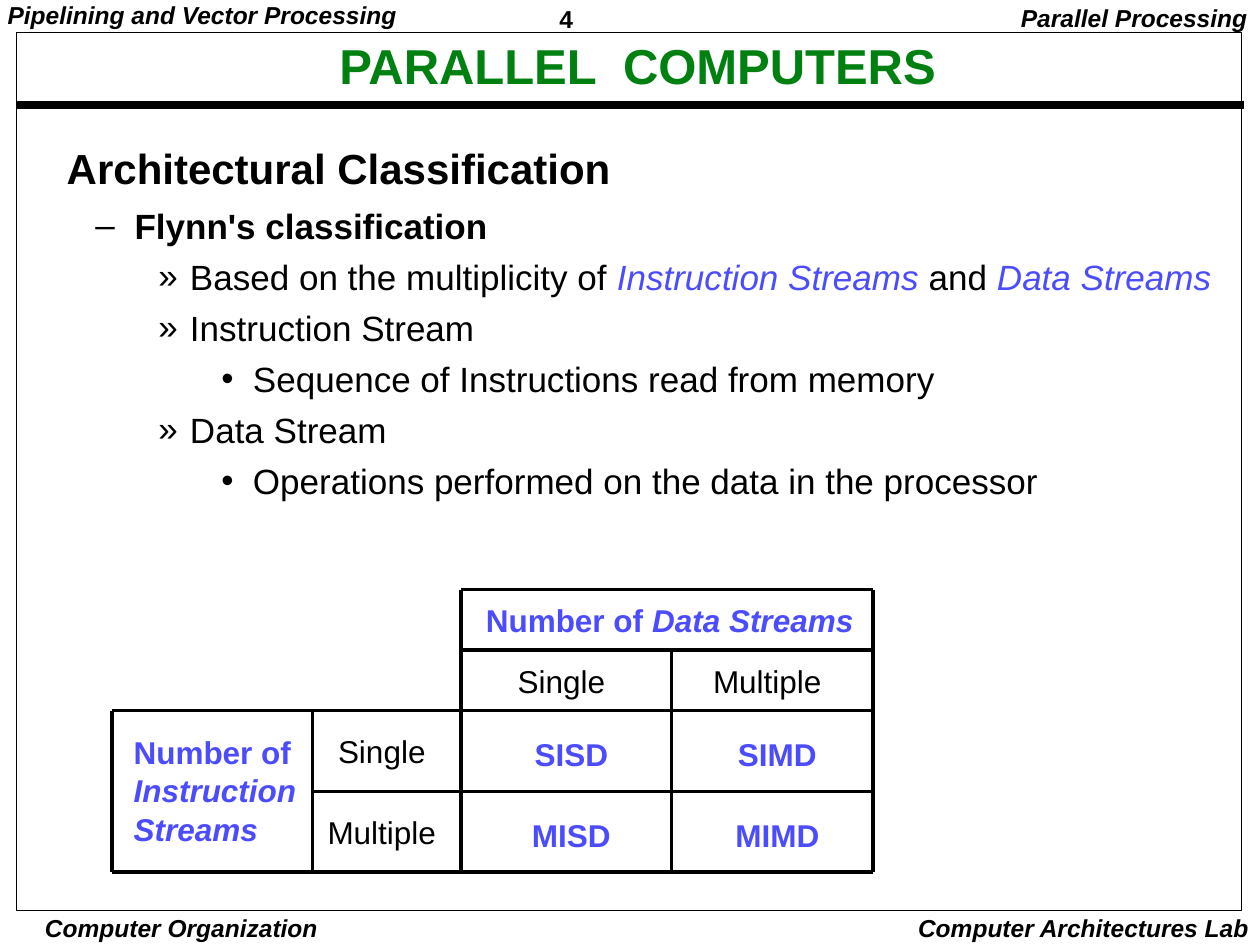
from lxml.etree import SubElement
from pptx import Presentation
from pptx.dml.color import RGBColor as RGB
from pptx.enum.shapes import MSO_CONNECTOR as CONN, MSO_SHAPE as SHAPE
from pptx.enum.text import MSO_ANCHOR as ANCHOR, PP_ALIGN as ALIGN
from pptx.oxml.ns import qn
from pptx.util import Inches as In, Pt

W, H = 10, 7.5
FONT = "Arial"
COLORS = {"ink": "000000", "title": "008011", "accent": "4C4CFF"}

TITLE = "PARALLEL  COMPUTERS"
HEADING = "Architectural Classification"

PLAIN, BOLD, ITALIC = ("ink", False, False), ("ink", True, False), ("accent", False, True)
BOLD_ITALIC = ("ink", True, True)
KEY, KEY_ITALIC = ("accent", True, False), ("accent", True, True)

MARGINS = [
    ("Pipelining and Vector Processing", BOLD_ITALIC, (-0.01, 0, 3.34, 0.27), "l", (0.07, 0.03), 0.9),
    ("4", BOLD, (4.37, 0, 1.08, 0.29), "l", (0.07, 0.03), 1.01),
    ("Parallel Processing", BOLD_ITALIC, (7.9, 0, 2.1, 0.31), "r", (0.1, 0.05), 0.9),
    ("Computer Organization", BOLD_ITALIC, (0.19, 7.24, 2.5, 0.26), "c", (0.03, 0.01), 1),
    ("Computer Architectures Lab", BOLD_ITALIC, (7.08, 7.2, 2.93, 0.33), "r", (0.1, 0.05), 1),
]

LEVELS = {1: ("–", 0.81, 0.31), 2: ("»", 1.25, 0.25), 3: ("•", 1.75, 0.25)}
OUTLINE = [
    (1, [("Flynn's classification", BOLD)]),
    (2, [("Based on the multiplicity of ", PLAIN), ("Instruction Streams ", ITALIC),
         ("and ", PLAIN), ("Data Streams", ITALIC)]),
    (2, [("Instruction Stream", PLAIN)]),
    (3, [("Sequence of Instructions read from memory", PLAIN)]),
    (2, [("Data Stream", PLAIN)]),
    (3, [("Operations performed on the data in the processor", PLAIN)]),
]

COLS = [0.89, 2.48, 3.66, 5.33, 6.93]
ROWS = [4.68, 5.16, 5.64, 6.28, 6.92]
RULES = [
    (2, 0, 4, 0), (2, 1, 4, 1), (0, 2, 4, 2), (1, 3, 4, 3), (0, 4, 4, 4),
    (0, 2, 0, 4), (1, 2, 1, 4), (2, 0, 2, 4), (3, 1, 3, 4), (4, 0, 4, 4),
]
LABEL_SHIFT, CODE_SHIFT = (-0.04, 0), (0.04, 0.02)
CELLS = [
    ((2, 0, 4, 1), [[("Number of ", KEY), ("Data Streams", KEY_ITALIC)]], "c", (0.02, 0)),
    ((0, 2, 1, 4), [[("Number of", KEY)], [("Instruction", KEY_ITALIC)],
                    [("Streams", KEY_ITALIC)]], "l", (0.1, -0.01)),
]
CELLS += [((c, r, c + 1, r + 1), [[(text, PLAIN)]], "c", LABEL_SHIFT)
          for c, r, text in [(2, 1, "Single"), (3, 1, "Multiple"),
                             (1, 2, "Single"), (1, 3, "Multiple")]]
CELLS += [((c, r, c + 1, r + 1), [[(text, KEY)]], "c", CODE_SHIFT)
          for c, r, text in [(2, 2, "SISD"), (3, 2, "SIMD"), (2, 3, "MISD"), (3, 3, "MIMD")]]

ALIGNS = {"l": ALIGN.LEFT, "c": ALIGN.CENTER, "r": ALIGN.RIGHT}


def rgb(name):
    return RGB.from_string(COLORS[name])


def set_frame(sp, inset, anchor):
    tf = sp.text_frame
    tf.margin_left = tf.margin_right = In(inset[0])
    tf.margin_top = tf.margin_bottom = In(inset[1])
    tf.word_wrap, tf.vertical_anchor = True, anchor
    return tf


def write(tf, paragraphs, size, align="l", spacing=1.02):
    for i, runs in enumerate(paragraphs):
        p = tf.paragraphs[0] if i == 0 else tf.add_paragraph()
        p.alignment, p.line_spacing = ALIGNS[align], spacing
        for text, (color, bold, italic) in runs:
            r = p.add_run()
            r.text = text
            r.font.name, r.font.size = FONT, Pt(size)
            r.font.bold, r.font.italic = bold, italic
            r.font.color.rgb = rgb(color)


def add_text(s, box, paragraphs, size, align="l", spacing=1.02,
             inset=(0.07, 0.03), anchor=ANCHOR.TOP):
    sp = s.shapes.add_textbox(*map(In, box))
    tf = set_frame(sp, inset, anchor)
    write(tf, paragraphs, size, align, spacing)
    return tf


def add_line(s, x1, y1, x2, y2, width):
    line = s.shapes.add_connector(CONN.STRAIGHT, *map(In, (x1, y1, x2, y2)))
    line.line.color.rgb, line.line.width = rgb("ink"), Pt(width)
    SubElement(line._element.spPr, qn("a:effectLst"))


def add_bullet(p, level):
    mark, left, hanging = LEVELS[level]
    p.level, p.space_before = level, Pt(7.5)
    pPr = p._p.get_or_add_pPr()
    pPr.set("marL", str(In(left)))
    pPr.set("indent", str(-In(hanging)))
    color = SubElement(pPr, qn("a:buClr"))
    SubElement(color, qn("a:srgbClr"), val=COLORS["ink"])
    SubElement(pPr, qn("a:buFont"), typeface=FONT)
    SubElement(pPr, qn("a:buChar"), char=mark)


def add_page(s):
    for text, style, box, align, inset, spacing in MARGINS:
        add_text(s, box, [[(text, style)]], 14, align, spacing, inset)
    add_line(s, 0.13, 0.83, 9.87, 0.83, 4.5)
    frame = s.shapes.add_shape(SHAPE.RECTANGLE, *map(In, (0.13, 0.26, 9.72, 6.97)))
    frame.shadow.inherit = False
    frame.fill.background()
    frame.line.color.rgb, frame.line.width = rgb("ink"), Pt(0.5)


def add_title(s):
    sp = s.shapes.title
    sp.left, sp.top, sp.width, sp.height = map(In, (0.82, 0.18, 8.48, 0.73))
    tf = set_frame(sp, (0.07, 0.03), ANCHOR.MIDDLE)
    write(tf, [[(TITLE, ("title", True, False))]], 28, "c", 0.9)


def add_outline(s):
    add_text(s, (0.46, 1.09, 4.6, 0.46), [[(HEADING, BOLD)]], 24)
    tf = add_text(s, (0.16, 1.61, 9.57, 2.68), [runs for _, runs in OUTLINE], 20,
                  spacing=0.9, inset=(0.1, 0.05))
    for p, (level, _) in zip(tf.paragraphs, OUTLINE):
        add_bullet(p, level)


def add_matrix(s):
    for c1, r1, c2, r2 in RULES:
        add_line(s, COLS[c1], ROWS[r1], COLS[c2], ROWS[r2], 2)
    for (c1, r1, c2, r2), paragraphs, align, (dx, dy) in CELLS:
        box = (COLS[c1] + dx, ROWS[r1] + dy, COLS[c2] - COLS[c1], ROWS[r2] - ROWS[r1])
        add_text(s, box, paragraphs, 18, align, anchor=ANCHOR.MIDDLE)


def main():
    prs = Presentation()
    prs.slide_width, prs.slide_height = In(W), In(H)
    s = prs.slides.add_slide(prs.slide_layouts[5])
    add_page(s)
    add_title(s)
    add_outline(s)
    add_matrix(s)
    prs.save("out.pptx")


if __name__ == "__main__":
    main()
